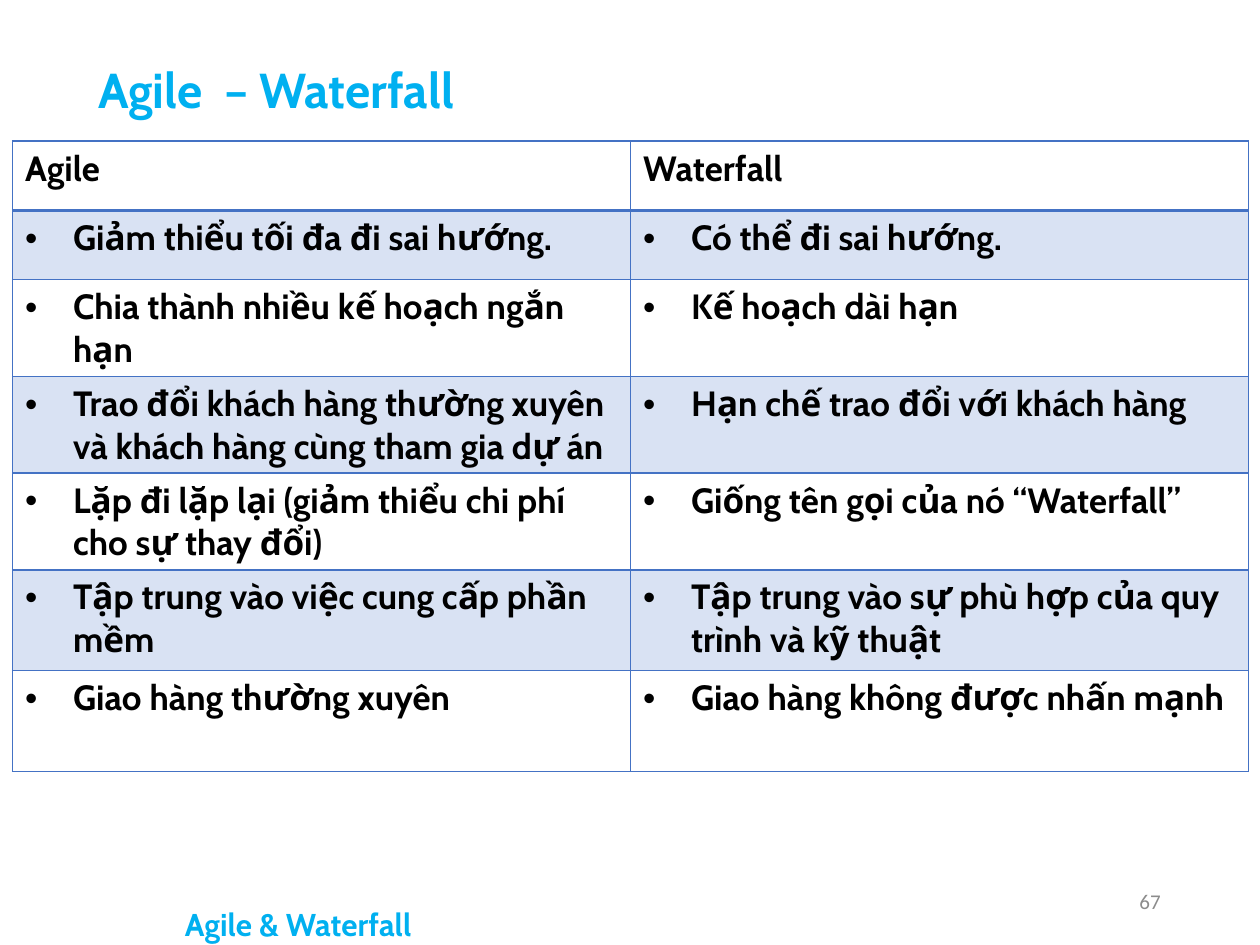
import pptx
import pptx.dml.color
import pptx.enum.text
import pptx.oxml.ns
import pptx.util
from dataclasses import dataclass
from lxml import etree

Inches, Pt = pptx.util.Inches, pptx.util.Pt
RGB = pptx.dml.color.RGBColor.from_string
ALIGN, ANCHOR = pptx.enum.text.PP_ALIGN, pptx.enum.text.MSO_ANCHOR
qn = pptx.oxml.ns.qn


@dataclass(frozen=True)
class Theme:
    width: float = 10
    height: float = 7.5
    accent: str = "00B0F0"
    grid: str = "4472C4"
    band_alpha: int = 20
    ink: str = "000000"
    muted: str = "8C8C8C"
    head_font: str = "Cabin"
    number_font: str = "Calibri"
    title_size: int = 28
    table_size: int = 20
    footer_size: int = 18
    number_size: int = 12
    indent: float = 0.38


T = Theme()
TITLE = dict(name=T.head_font, size=Pt(T.title_size), bold=True, color=T.accent)
CELL = dict(name=T.head_font, size=Pt(T.table_size), bold=True, color=T.ink)
FOOTER = dict(name=T.head_font, size=Pt(T.footer_size), bold=True, color=T.accent)
NUMBER = dict(name=T.number_font, size=Pt(T.number_size), bold=False, color=T.muted)

ROW_HEIGHTS = [0.55, 0.55, 0.76, 0.76, 0.76, 0.8, 0.8]
ROWS = [
    ("Agile", "Waterfall"),
    ("Giảm thiểu tối đa đi sai hướng.", "Có thể đi sai hướng."),
    ("Chia thành nhiều kế hoạch ngắn hạn", "Kế hoạch dài hạn"),
    ("Trao đổi khách hàng thường xuyên và khách hàng cùng tham gia dự án",
     "Hạn chế trao đổi với khách hàng"),
    ("Lặp đi lặp lại (giảm thiểu chi phí cho sự thay đổi)",
     "Giống tên gọi của nó “Waterfall”"),
    ("Tập trung vào việc cung cấp phần mềm",
     "Tập trung vào sự phù hợp của quy trình và kỹ thuật"),
    ("Giao hàng thường xuyên", "Giao hàng không được nhấn mạnh"),
]


def write(p, text, fmt):
    """Add one formatted run to a paragraph."""
    r = p.add_run()
    r.text = text
    for key, value in fmt.items():
        if key == "color":
            r.font.color.rgb = RGB(value)
        else:
            setattr(r.font, key, value)


def add_text(s, box, text, fmt, wrap=True, align=ALIGN.LEFT, anchor=ANCHOR.TOP):
    """Place a one-paragraph text box in box (left, top, width, height)."""
    tf = s.shapes.add_textbox(*map(Inches, box)).text_frame
    tf.word_wrap, tf.vertical_anchor = wrap, anchor
    p = tf.paragraphs[0]
    p.alignment = align
    write(p, text, fmt)


def add_bullet(p):
    """Give a paragraph a hanging bullet."""
    pPr = p._p.get_or_add_pPr()
    pPr.set("marL", str(Inches(T.indent)))
    pPr.set("indent", str(-Inches(T.indent)))
    etree.SubElement(pPr, qn("a:buFont"), typeface="Arial")
    etree.SubElement(pPr, qn("a:buChar"), char="•")


def shade(cell, banded):
    """Fill a banded cell with the translucent grid colour."""
    if not banded:
        cell.fill.background()
        return
    cell.fill.solid()
    cell.fill.fore_color.rgb = RGB(T.grid)
    clr = cell._tc.tcPr.find(".//" + qn("a:srgbClr"))
    etree.SubElement(clr, qn("a:alpha"), val=str(T.band_alpha * 1000))


def add_borders(cell, widths):
    """Draw the four cell edges; widths are points by side letter."""
    tcPr = cell._tc.get_or_add_tcPr()
    for i, (side, width) in enumerate(widths.items()):
        ln = etree.Element(qn("a:ln" + side), w=str(Pt(width)))
        fill = etree.SubElement(ln, qn("a:solidFill"))
        etree.SubElement(fill, qn("a:srgbClr"), val=T.grid)
        tcPr.insert(i, ln)


def add_comparison(s, box):
    """Place the two-column table: header row, then banded bullet rows."""
    frame = s.shapes.add_table(len(ROWS), len(ROWS[0]), *map(Inches, box))
    table = frame.table
    table.first_row = table.horz_banding = False
    for col in table.columns:
        col.width = Inches(box[2] / len(ROWS[0]))
    for i, (texts, height) in enumerate(zip(ROWS, ROW_HEIGHTS)):
        table.rows[i].height = Inches(height)
        for j, text in enumerate(texts):
            cell = table.cell(i, j)
            p = cell.text_frame.paragraphs[0]
            if i > 0:
                add_bullet(p)
            write(p, text, CELL)
            shade(cell, i % 2 == 1)
            add_borders(cell, dict(L=1, R=1, T=2 if i == 1 else 1,
                                   B=2 if i == 0 else 1))


def add_footer(s, box):
    """Place the topic at the lower left and the slide number at the right."""
    left, top, width, height = box
    add_text(s, (left + 0.137 * width, top + 0.18, 2.27, 0.4),
             "Agile & Waterfall", FOOTER, wrap=False)
    add_text(s, (left + 0.706 * width, top, 0.225 * width, 0.4), "67", NUMBER,
             align=ALIGN.RIGHT, anchor=ANCHOR.MIDDLE)


def main():
    prs = pptx.Presentation()
    prs.slide_width, prs.slide_height = Inches(T.width), Inches(T.height)
    s = prs.slides.add_slide(prs.slide_layouts[6])
    # Title, comparison table, footer
    add_text(s, (0.68, 0.42, 8.86, 0.57), "Agile\t– Waterfall", TITLE)
    add_comparison(s, (0.1, 1.12, 9.81, sum(ROW_HEIGHTS)))
    add_footer(s, (0, 6.95, T.width, T.height - 6.95))
    prs.save("out.pptx")


if __name__ == "__main__":
    main()
